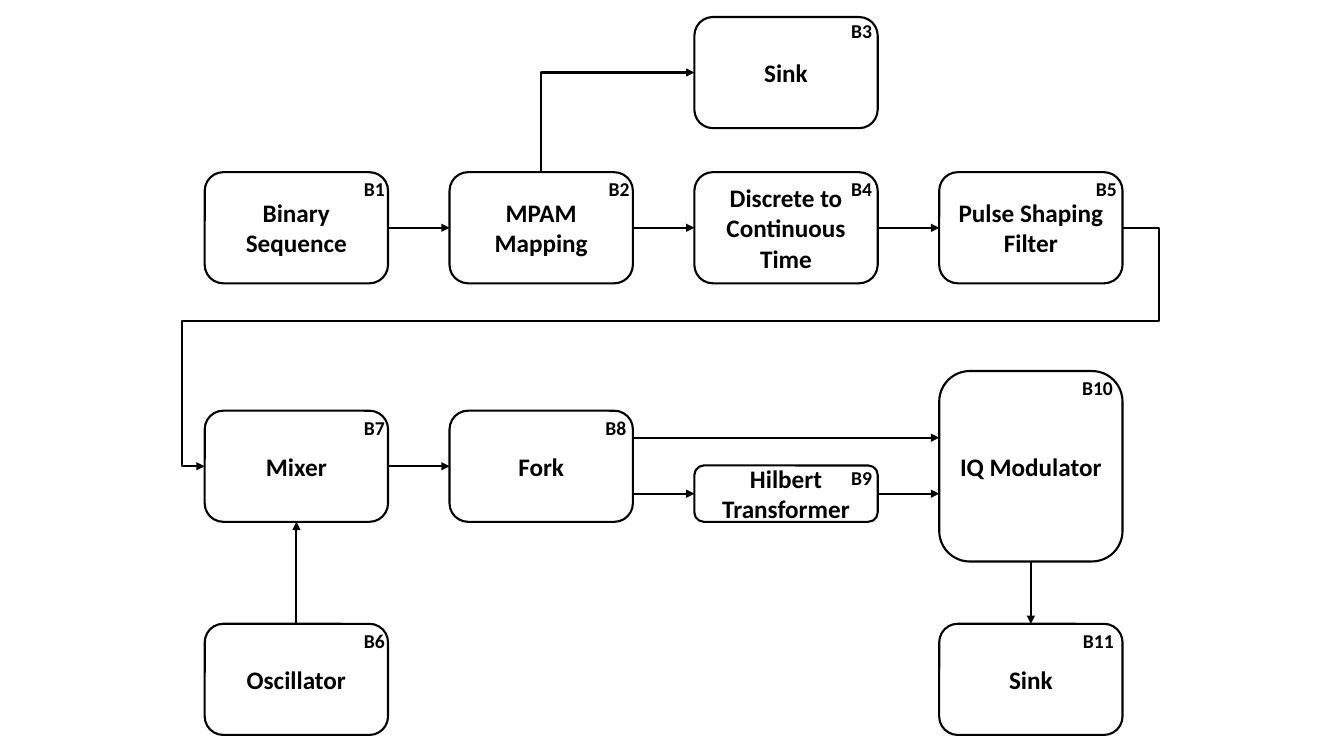
from lxml import etree
from pptx import Presentation
from pptx.dml.color import RGBColor
from pptx.enum.shapes import MSO_CONNECTOR as Link, MSO_SHAPE as Shape
from pptx.enum.text import MSO_ANCHOR as Anchor, PP_ALIGN as Align
from pptx.oxml.ns import qn
from pptx.util import Cm, Pt

BLACK = RGBColor(0, 0, 0)
WHITE = RGBColor(255, 255, 255)
FONT = "Calibri"
BLOCK_WIDTH, BLOCK_HEIGHT = 4.62, 2.8
COLUMN_PITCH = 6.17
TOP, LEFT, BOTTOM, RIGHT = range(4)


def write(frame, text, size, align):
    frame.text = text
    for para in frame.paragraphs:
        para.alignment = align
        para.font.name = FONT
        para.font.size = Pt(size)
        para.font.bold = True
        para.font.color.rgb = BLACK


def add_block(page, left, top, name, tag, height=BLOCK_HEIGHT,
              tag_left=3.73, tag_drop=0.0):
    box = page.shapes.add_shape(Shape.ROUNDED_RECTANGLE, Cm(left), Cm(top),
                                Cm(BLOCK_WIDTH), Cm(height))
    box.shadow.inherit = False
    box.fill.solid()
    box.fill.fore_color.rgb = WHITE
    box.line.color.rgb = BLACK
    box.line.width = Pt(1.5)
    box.text_frame.word_wrap = True
    box.text_frame.vertical_anchor = Anchor.MIDDLE
    write(box.text_frame, name, 18, Align.CENTER)

    tag_width = 1.1 if len(tag) == 2 else 1.32
    label = page.shapes.add_textbox(Cm(left + tag_left), Cm(top + tag_drop),
                                    Cm(tag_width), Cm(0.86))
    label.text_frame.word_wrap = True
    write(label.text_frame, tag, 14, Align.LEFT)
    return box


def side_point(box, side):
    across = {LEFT: 0, RIGHT: box.width}.get(side, box.width // 2)
    down = {TOP: 0, BOTTOM: box.height}.get(side, box.height // 2)
    return box.left + across, box.top + down


def add_arrow(page, start, end, kind=Link.STRAIGHT):
    arrow = page.shapes.add_connector(kind, *start, *end)
    arrow.line.color.rgb = BLACK
    arrow.line.width = Pt(1.5)
    line = arrow.line._get_or_add_ln()
    etree.SubElement(line, qn("a:tailEnd"), type="triangle")
    etree.SubElement(arrow._element.spPr, qn("a:effectLst"))
    return arrow


def join(page, source, source_side, target, target_side, kind=Link.STRAIGHT):
    arrow = add_arrow(page, side_point(source, source_side),
                      side_point(target, target_side), kind)
    arrow.begin_connect(source, source_side)
    arrow.end_connect(target, target_side)
    return arrow


def set_bends(arrow, preset, shares=()):
    geometry = arrow._element.spPr.find(qn("a:prstGeom"))
    geometry.set("prst", preset)
    guides = geometry.find(qn("a:avLst"))
    for number, share in enumerate(shares, 1):
        etree.SubElement(guides, qn("a:gd"), name=f"adj{number}",
                         fmla=f"val {round(share * 100000)}")


def turn_up_then_right(arrow):
    set_bends(arrow, "bentConnector2")
    center_x = arrow.left + arrow.width // 2
    center_y = arrow.top + arrow.height // 2
    arrow.width, arrow.height = arrow.height, arrow.width
    arrow.left = center_x - arrow.width // 2
    arrow.top = center_y - arrow.height // 2
    frame = arrow._element.spPr.find(qn("a:xfrm"))
    for key, value in (("rot", "5400000"), ("flipH", "1"), ("flipV", "1")):
        frame.set(key, value)


def draw_baseband(page, left, top):
    columns = [left + COLUMN_PITCH * index for index in range(4)]
    row = top + 3.91
    sink = add_block(page, columns[2], top, "Sink", "B3", tag_left=3.7, tag_drop=-0.08)
    steps = [("Binary Sequence", "B1", 3.76), ("MPAM Mapping", "B2", 3.76),
             ("Discrete to\nContinuous\nTime", "B4", 3.7),
             ("Pulse Shaping Filter", "B5", 3.7)]
    chain = [add_block(page, column, row, name, tag, tag_left=tag_left)
             for column, (name, tag, tag_left) in zip(columns, steps)]
    for source, target in zip(chain, chain[1:]):
        join(page, source, RIGHT, target, LEFT)
    turn_up_then_right(join(page, chain[1], TOP, sink, LEFT, Link.ELBOW))
    return chain[-1]


def draw_modulator(page, left, top):
    columns = [left + COLUMN_PITCH * index for index in range(4)]
    row, bottom_row = top + 1, top + 6.37
    mixer = add_block(page, columns[0], row, "Mixer", "B7", tag_left=3.76)
    fork = add_block(page, columns[1], row, "Fork", "B8", tag_left=3.68)
    hilbert = add_block(page, columns[2], top + 2.38, "Hilbert Transformer", "B9",
                        height=1.42, tag_left=3.7, tag_drop=-0.12)
    modulator = add_block(page, columns[3], top, "IQ Modulator", "B10",
                          height=4.8, tag_left=3.35)
    oscillator = add_block(page, columns[0], bottom_row, "Oscillator", "B6", tag_left=3.76)
    sink = add_block(page, columns[3], bottom_row, "Sink", "B11", tag_left=3.37)

    join(page, oscillator, TOP, mixer, BOTTOM)
    join(page, mixer, RIGHT, fork, LEFT)
    join(page, modulator, BOTTOM, sink, TOP)

    fork_right = fork.left + fork.width
    upper = Cm(top + 1.68)
    add_arrow(page, (fork_right, upper), (modulator.left, upper))
    lower_end = side_point(hilbert, LEFT)
    to_hilbert = add_arrow(page, (fork_right, lower_end[1]), lower_end)
    to_hilbert.end_connect(hilbert, LEFT)
    lower_start = side_point(hilbert, RIGHT)
    from_hilbert = add_arrow(page, lower_start, (modulator.left, lower_start[1]))
    from_hilbert.begin_connect(hilbert, RIGHT)
    return mixer


def main():
    deck = Presentation()
    deck.slide_width, deck.slide_height = Cm(33.87), Cm(19.05)
    page = deck.slides.add_slide(deck.slide_layouts[6])
    shaping_filter = draw_baseband(page, 5.16, 0.43)
    mixer = draw_modulator(page, 5.16, 9.35)
    feed = join(page, shaping_filter, RIGHT, mixer, LEFT, Link.ELBOW)
    set_bends(feed, "bentConnector5", (-0.04, 0.39, 1.025))
    deck.save("out.pptx")


if __name__ == "__main__":
    main()
